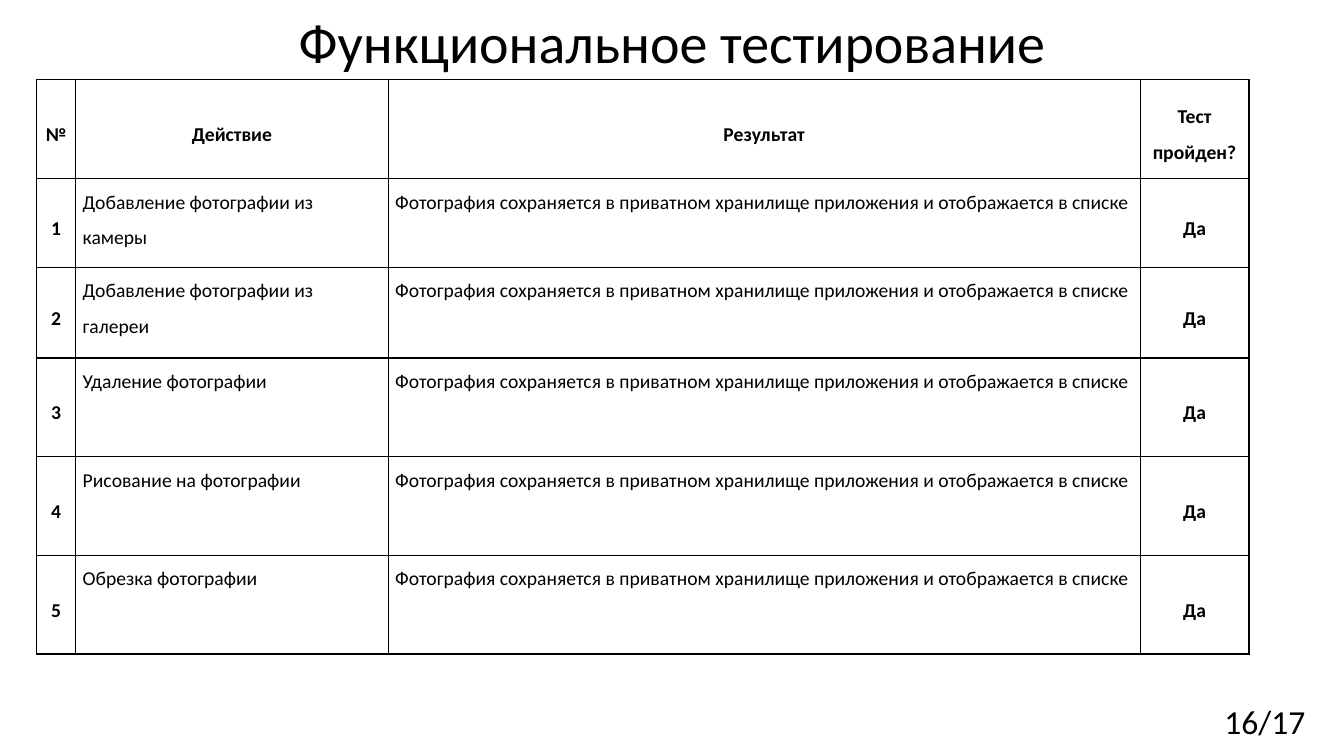
import pptx
import pptx.dml.color
import pptx.enum.text
import pptx.oxml
import pptx.oxml.ns
import pptx.util

Pt = pptx.util.Pt
ALIGN = pptx.enum.text.PP_ALIGN
ANCHOR = pptx.enum.text.MSO_ANCHOR
COLORS = {"text": "000000", "border": "000000", "cell": "FFFFFF"}
FONT = "Calibri"
COLUMN_WIDTHS = [28.1, 223.2, 537.1, 77.8]
ROW_HEIGHTS = [70.5, 63.4, 64.8, 70.5, 70.5, 70.5]
HEADINGS = ["№", "Действие", "Результат", "Тест пройден?"]
ACTIONS = [
    "Добавление фотографии из камеры",
    "Добавление фотографии из галереи",
    "Удаление фотографии",
    "Рисование на фотографии",
    "Обрезка фотографии",
]
RESULT = "Фотография сохраняется в приватном хранилище приложения и отображается в списке"
PASSED = "Да"


def rgb(name):
    """Return the named colour."""
    return pptx.dml.color.RGBColor.from_string(COLORS[name])


def format_paragraph(paragraph, size, align, bold=False):
    """Set the font and alignment of a paragraph."""
    paragraph.alignment = align
    paragraph.font.name = FONT
    paragraph.font.size = Pt(size)
    paragraph.font.bold = bold
    paragraph.font.color.rgb = rgb("text")


def place_title(slide, left, top, width, height):
    """Fill the title placeholder in the given box."""
    title = slide.shapes.title
    title.left, title.top, title.width, title.height = map(Pt, (left, top, width, height))
    title.text_frame.text = "Функциональное тестирование"
    title.text_frame.vertical_anchor = ANCHOR.TOP
    title.text_frame.auto_size = pptx.enum.text.MSO_AUTO_SIZE.NONE
    format_paragraph(title.text_frame.paragraphs[0], 40, ALIGN.CENTER)


def place_page_number(slide, left, top, width, height):
    """Write the page number in the given box."""
    page_number = slide.shapes.add_textbox(*map(Pt, (left, top, width, height)))
    frame = page_number.text_frame
    frame.word_wrap = True
    frame.vertical_anchor = ANCHOR.MIDDLE
    frame.text = "16/17"
    format_paragraph(frame.paragraphs[0], 24, ALIGN.RIGHT)


def draw_borders(cell):
    """Line all four sides of a cell."""
    properties = cell._tc.get_or_add_tcPr()
    for side in ("lnL", "lnR", "lnT", "lnB"):
        properties.append(pptx.oxml.parse_xml(
            f'<a:{side} {pptx.oxml.ns.nsdecls("a")} w="{Pt(1)}"><a:solidFill>'
            f'<a:srgbClr val="{COLORS["border"]}"/></a:solidFill></a:{side}>'))


def fill_cell(cell, text, centered):
    """Write and format one cell, bold and centred or plain and left."""
    cell.text = text
    cell.margin_left = cell.margin_right = Pt(5)
    cell.margin_top = cell.margin_bottom = 0
    cell.vertical_anchor = ANCHOR.MIDDLE if centered else ANCHOR.TOP
    paragraph = cell.text_frame.paragraphs[0]
    paragraph.line_spacing = 1.5
    format_paragraph(paragraph, 14, ALIGN.CENTER if centered else ALIGN.LEFT, centered)
    draw_borders(cell)
    cell.fill.solid()
    cell.fill.fore_color.rgb = rgb("cell")


def place_tests(slide, left, top):
    """Build the table of tests from its top left corner."""
    entries = [HEADINGS] + [
        [str(number), action, RESULT, PASSED] for number, action in enumerate(ACTIONS, 1)]
    box = (left, top, sum(COLUMN_WIDTHS), sum(ROW_HEIGHTS))
    tests = slide.shapes.add_table(len(entries), len(HEADINGS), *map(Pt, box)).table
    for column, width in zip(tests.columns, COLUMN_WIDTHS):
        column.width = Pt(width)
    for row, height in zip(tests.rows, ROW_HEIGHTS):
        row.height = Pt(height)
    for r, entry in enumerate(entries):
        for c, text in enumerate(entry):
            fill_cell(tests.cell(r, c), text, r == 0 or c in (0, 3))


def main():
    """Build and save the slide."""
    presentation = pptx.Presentation()
    presentation.slide_width, presentation.slide_height = Pt(960), Pt(540)
    slide = presentation.slides.add_slide(presentation.slide_layouts[5])
    place_title(slide, 0, 1.5, 960, 55.5)
    place_page_number(slide, 723.6, 500.5, 216, 28.8)
    place_tests(slide, 26, 57)
    presentation.save("out.pptx")


if __name__ == "__main__":
    main()
